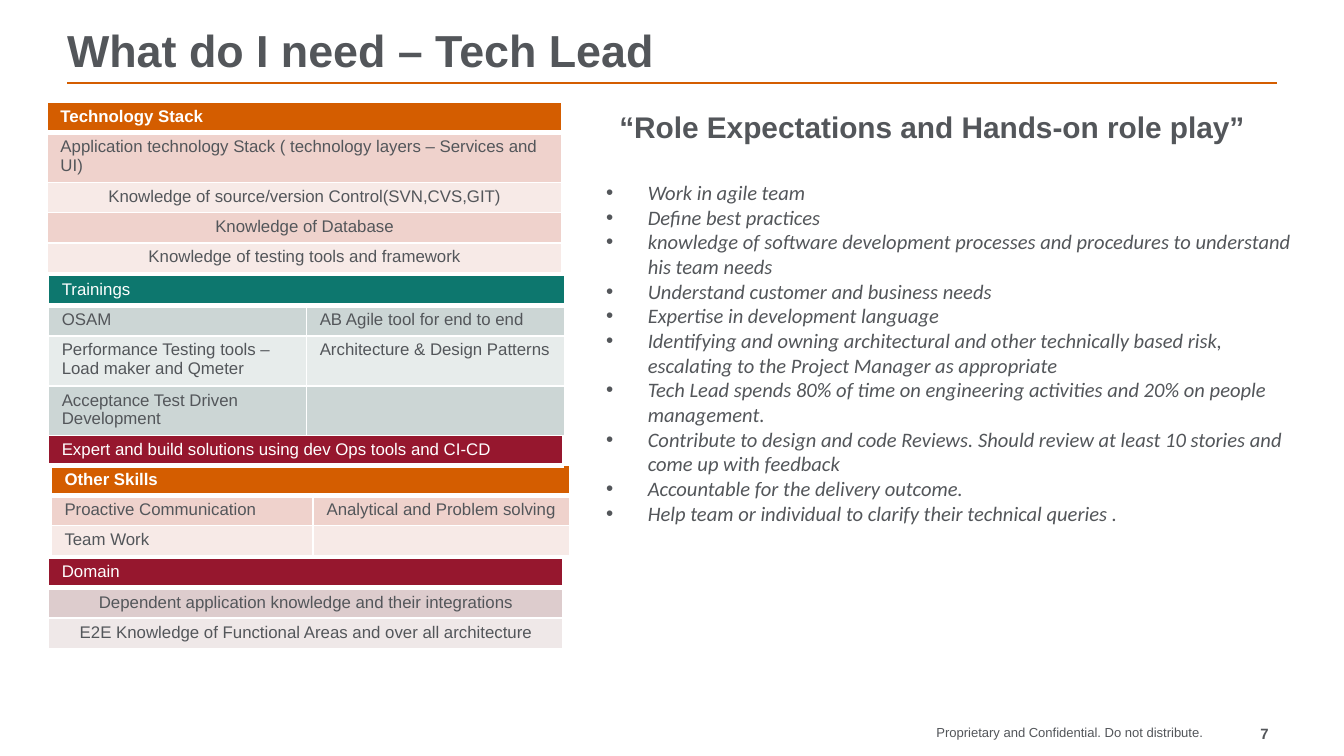
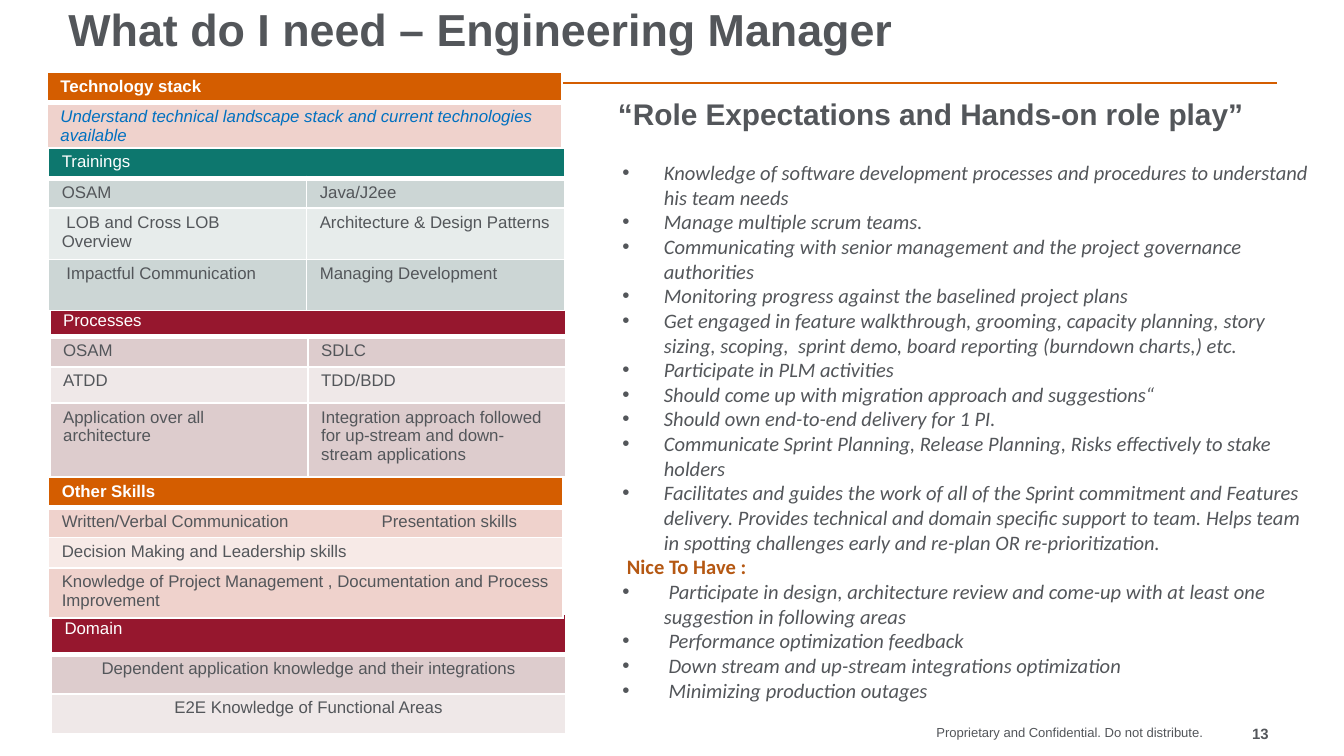
import pptx
import pptx.util
import pptx.enum.shapes
import pptx.enum.text
import pptx.dml.color
import pptx.oxml.ns
from lxml import etree

Inches, Pt = pptx.util.Inches, pptx.util.Pt
ALIGN = pptx.enum.text.PP_ALIGN
ANCHOR = pptx.enum.text.MSO_ANCHOR

COLORS = {
    "text": "53565A", "white": "FFFFFF", "accent": "D45D00",
    "link": "0070C0", "nice": "B55813",
}
# Header fill, then the two alternating row fills
PALETTES = {
    "orange": ("D45D00", "EFD2CC", "F7EAE7"),
    "green": ("0D776E", "CCD6D5", "E7ECEB"),
    "red": ("96172E", "DDCCCD", "EFE8E8"),
}
FOOTER = "Proprietary and Confidential. Do not distribute."
HEADING = "“Role Expectations and Hands-on role play”"
CENTER = {"align": ALIGN.CENTER}
WIDE, HALVES = (3.83,), (1.92, 1.92)
LINE_ROW, DOUBLE_ROW = 0.9 / 4, 0.36
BULLET_INDENT = 0.31

# Each table: palette, left, top, column widths, row heights, header, body rows.
# A cell is a text, or a text with its own format.
SLIDES = [
    {
        "title": "What do I need – Tech Lead", "title_at": (0.5, 0.16), "number": "7",
        "heading_at": (4.51, 0.76), "duties_at": (4.51, 1.34, 5.15, 3.15),
        "duties": [
            "Work in agile team",
            "Define best practices",
            "knowledge of software development processes and procedures to understand his team needs",
            "Understand customer and business needs",
            "Expertise in development language",
            "Identifying and owning architectural and other technically based risk, "
            "escalating to the Project Manager as appropriate",
            "Tech Lead spends 80% of time on engineering activities and 20% on people management.",
            "Contribute to design and code Reviews. Should review at least 10 stories "
            "and come up with feedback",
            "Accountable for the delivery outcome.",
            "Help team or individual to clarify their technical queries .",
        ],
        "tables": [
            ("orange", 0.35, 0.76, WIDE, [LINE_ROW, DOUBLE_ROW] + [LINE_ROW] * 3,
             "Technology Stack", [
                 ["Application technology Stack ( technology layers – Services and UI)"],
                 [("Knowledge of source/version Control(SVN,CVS,GIT)", CENTER)],
                 [("Knowledge of Database", CENTER)],
                 [("Knowledge of testing tools and framework", CENTER)],
             ]),
            ("green", 0.36, 2.05, HALVES, [LINE_ROW] * 2 + [DOUBLE_ROW] * 2, "Trainings", [
                ["OSAM", "AB Agile tool for end to end"],
                ["Performance Testing tools – Load maker and Qmeter", "Architecture & Design Patterns"],
                ["Acceptance Test Driven Development", ""],
            ]),
            ("red", 0.36, 4.15, WIDE, [LINE_ROW] * 3, "Domain", [
                [("Dependent application knowledge and their integrations", CENTER)],
                [("E2E Knowledge of Functional Areas and over all architecture", CENTER)],
            ]),
            ("orange", 0.38, 3.46, (1.95, 1.91), [LINE_ROW] * 3, "Other Skills", [
                ["Proactive Communication", "Analytical and Problem solving"],
                ["Team Work", ""],
            ]),
            ("red", 0.36, 3.24, WIDE, [LINE_ROW],
             "Expert and build solutions using dev Ops tools and CI-CD", []),
        ],
    },
    {
        "title": "What do I need – Engineering Manager", "title_at": (0.51, 0), "number": "13",
        "heading_at": (4.5, 0.66), "duties_at": (4.63, 1.19, 5.15, 4.44),
        "duties": [
            "Knowledge of software development processes and procedures to understand his team needs",
            "Manage multiple scrum teams.",
            "Communicating with senior management and the project governance authorities",
            "Monitoring progress against the baselined project plans",
            "Get engaged in feature walkthrough, grooming, capacity planning, story sizing, "
            "scoping,  sprint demo, board reporting (burndown charts,) etc.",
            "Participate in PLM activities",
            "Should come up with migration approach and suggestions“",
            "Should own end-to-end delivery for 1 PI.",
            "Communicate Sprint Planning, Release Planning, Risks effectively to stake holders",
            "Facilitates and guides the work of all of the Sprint commitment and Features delivery. "
            "Provides technical and domain specific support to team. Helps team in spotting "
            "challenges early and re-plan OR re-prioritization.",
            (" Nice To Have :", {"color": "nice", "bold": True, "italic": False, "bullet": False}),
            " Participate in design, architecture review and come-up with at least one "
            "suggestion in following areas",
            " Performance optimization feedback",
            " Down stream and up-stream integrations optimization",
            " Minimizing production outages",
        ],
        "tables": [
            ("orange", 0.35, 0.54, WIDE, [LINE_ROW, DOUBLE_ROW], "Technology stack", [
                [("Understand technical landscape stack and current technologies available",
                  {"color": "link", "italic": True})],
            ]),
            ("red", 0.37, 2.28, HALVES, [LINE_ROW, LINE_ROW, 0.27, 0.55], "Processes", [
                ["OSAM", "SDLC"],
                ["ATDD", "TDD/BDD"],
                ["Application over all architecture",
                 "Integration approach followed for up-stream and down-stream applications"],
            ]),
            ("red", 0.38, 4.57, WIDE, [0.89 / 3] * 3, "Domain", [
                [("Dependent application knowledge and their integrations", CENTER)],
                [("E2E Knowledge of Functional Areas", CENTER)],
            ]),
            ("orange", 0.36, 3.55, WIDE, [LINE_ROW] * 3 + [0.37], "Other Skills", [
                [("Written/Verbal Communication\tPresentation skills", {"tab": 2.38})],
                ["Decision Making and Leadership skills"],
                ["Knowledge of Project Management , Documentation and Process Improvement"],
            ]),
            ("green", 0.36, 1.1, HALVES, [LINE_ROW] * 2 + [0.38] * 2, "Trainings", [
                ["OSAM", "Java/J2ee"],
                [" LOB and Cross LOB Overview", "Architecture & Design Patterns"],
                [" Impactful Communication", "Managing Development"],
            ]),
        ],
    },
]


def rgb(value):
    return pptx.dml.color.RGBColor.from_string(value)


def add_xml(parent, tag, **attributes):
    element = etree.SubElement(parent, pptx.oxml.ns.qn(tag))
    for name, value in attributes.items():
        element.set(name, str(value))
    return element


def with_format(item):
    return item if isinstance(item, tuple) else (item, {})


def write_text(paragraph, text, size=9, font="Arial", color="text", bold=False,
               italic=False, align=ALIGN.LEFT, bullet=False, tab=None):
    paragraph.alignment = align
    properties = paragraph._p.get_or_add_pPr()
    if bullet:
        indent = Inches(BULLET_INDENT)
        properties.set("marL", str(indent))
        properties.set("indent", str(-indent))
        add_xml(properties, "a:buFont", typeface="Arial")
        add_xml(properties, "a:buChar", char="•")
    if tab:
        add_xml(add_xml(properties, "a:tabLst"), "a:tab", pos=Inches(tab), algn="l")
    if not text:
        add_xml(paragraph._p, "a:endParaRPr", sz=size * 100)
        return
    run = paragraph.add_run()
    run.text = text
    run.font.size, run.font.name = Pt(size), font
    run.font.bold, run.font.italic = bold, italic
    run.font.color.rgb = rgb(COLORS[color])


def add_text_box(slide, box, items, anchor=ANCHOR.TOP, inset=(0, 0), **text_format):
    frame = slide.shapes.add_textbox(*map(Inches, box)).text_frame
    frame.word_wrap = True
    frame.vertical_anchor = anchor
    frame.margin_left = frame.margin_right = Inches(inset[0])
    frame.margin_top = frame.margin_bottom = Inches(inset[1])
    for index, item in enumerate(items):
        text, own_format = with_format(item)
        paragraph = frame.add_paragraph() if index else frame.paragraphs[0]
        write_text(paragraph, text, **{**text_format, **own_format})


def style_cell(cell, fill, bottom_width):
    cell.margin_left = cell.margin_right = Inches(0.1)
    cell.margin_top = cell.margin_bottom = Pt(2.6)
    properties = cell._tc.get_or_add_tcPr()
    for side, width in (("L", 1), ("R", 1), ("T", 1), ("B", bottom_width)):
        line = add_xml(properties, "a:ln" + side, w=Pt(width))
        add_xml(add_xml(line, "a:solidFill"), "a:srgbClr", val=COLORS["white"])
    cell.fill.solid()
    cell.fill.fore_color.rgb = rgb(fill)


def add_skill_table(slide, palette, left, top, widths, heights, header, body):
    header_fill, *row_fills = PALETTES[palette]
    box = (left, top, sum(widths), sum(heights))
    table = slide.shapes.add_table(len(heights), len(widths), *map(Inches, box)).table
    table.first_row = table.horz_banding = False
    for column, width in zip(table.columns, widths):
        column.width = Inches(width)
    for row, height in zip(table.rows, heights):
        row.height = Inches(height)

    header_format = {"color": "white", "bold": palette == "orange"}
    header_row = [(header, header_format)] + [""] * (len(widths) - 1)
    for row_index, items in enumerate([header_row] + body):
        fill = row_fills[(row_index - 1) % 2] if row_index else header_fill
        for column_index, item in enumerate(items):
            cell = table.cell(row_index, column_index)
            style_cell(cell, fill, 1 if row_index else 3)
            text, cell_format = with_format(item)
            write_text(cell.text_frame.paragraphs[0], text, **cell_format)
    if len(widths) > 1:
        table.cell(0, 0).merge(table.cell(0, len(widths) - 1))


def add_frame(slide, number):
    # Rule under the title, footer and page number
    rule = slide.shapes.add_connector(
        pptx.enum.shapes.MSO_CONNECTOR.STRAIGHT, *map(Inches, (0.5, 0.62, 9.5, 0.62)))
    rule.line.color.rgb = rgb(COLORS["accent"])
    rule.line.width = Pt(1)
    add_xml(rule._element.spPr, "a:effectLst")
    add_text_box(slide, (5.25, 5.39, 3.7, 0.17), [FOOTER], size=7, align=ALIGN.RIGHT)
    add_text_box(slide, (8.94, 5.39, 0.5, 0.17), [number], size=8, bold=True, align=ALIGN.RIGHT)


def build_slide(presentation, content):
    slide = presentation.slides.add_slide(presentation.slide_layouts[6])
    add_frame(slide, content["number"])
    add_text_box(slide, (*content["title_at"], 9, 0.41), [content["title"]],
                 anchor=ANCHOR.BOTTOM, size=24, bold=True)
    # Skill tables on the left, later ones over earlier ones
    for table in content["tables"]:
        add_skill_table(slide, *table)
    # Role expectations on the right
    add_text_box(slide, (*content["heading_at"], 5.17, 0.37), [HEADING],
                 anchor=ANCHOR.MIDDLE, inset=(0.1, 0.05), size=16, bold=True)
    add_text_box(slide, content["duties_at"], content["duties"],
                 size=11, font="Calibri", italic=True, bullet=True)


def main():
    presentation = pptx.Presentation()
    # Widescreen, 16 to 9
    presentation.slide_width = Inches(10)
    presentation.slide_height = presentation.slide_width * 9 // 16
    for content in SLIDES:
        build_slide(presentation, content)
    presentation.save("out.pptx")


if __name__ == "__main__":
    main()
